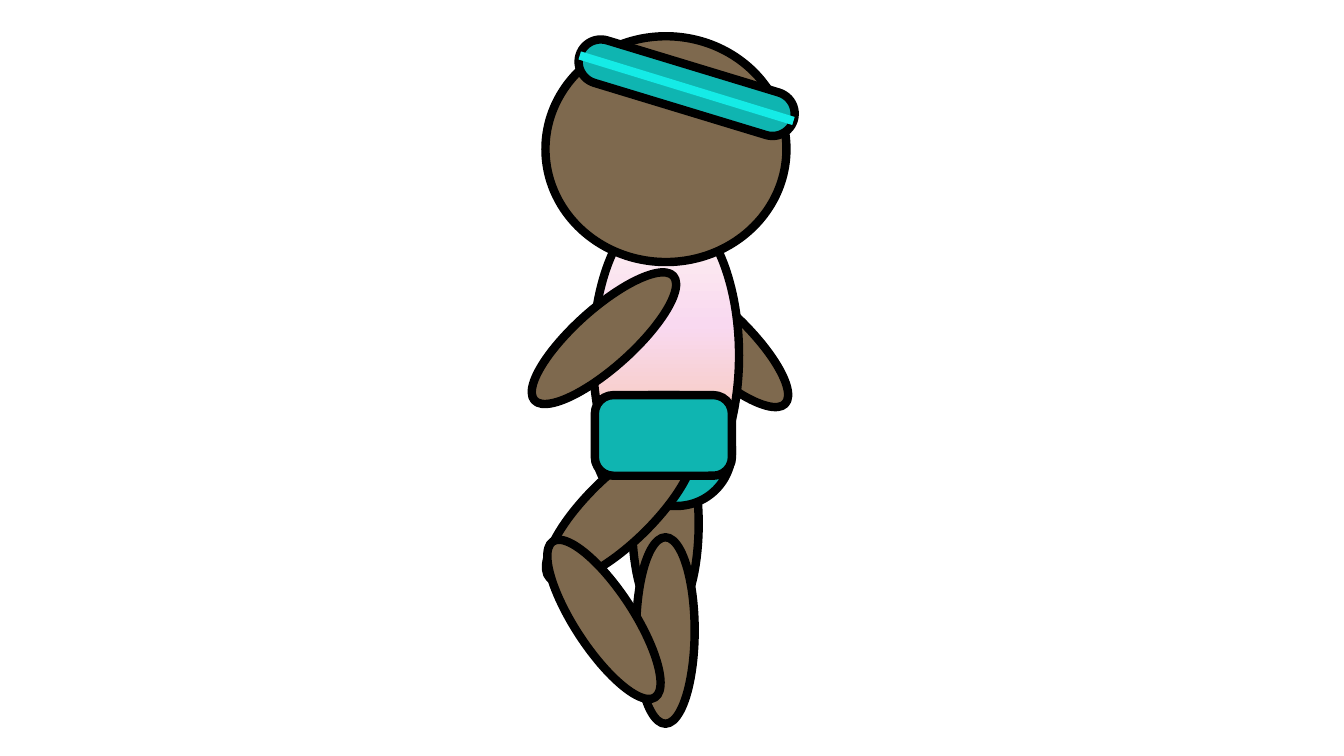
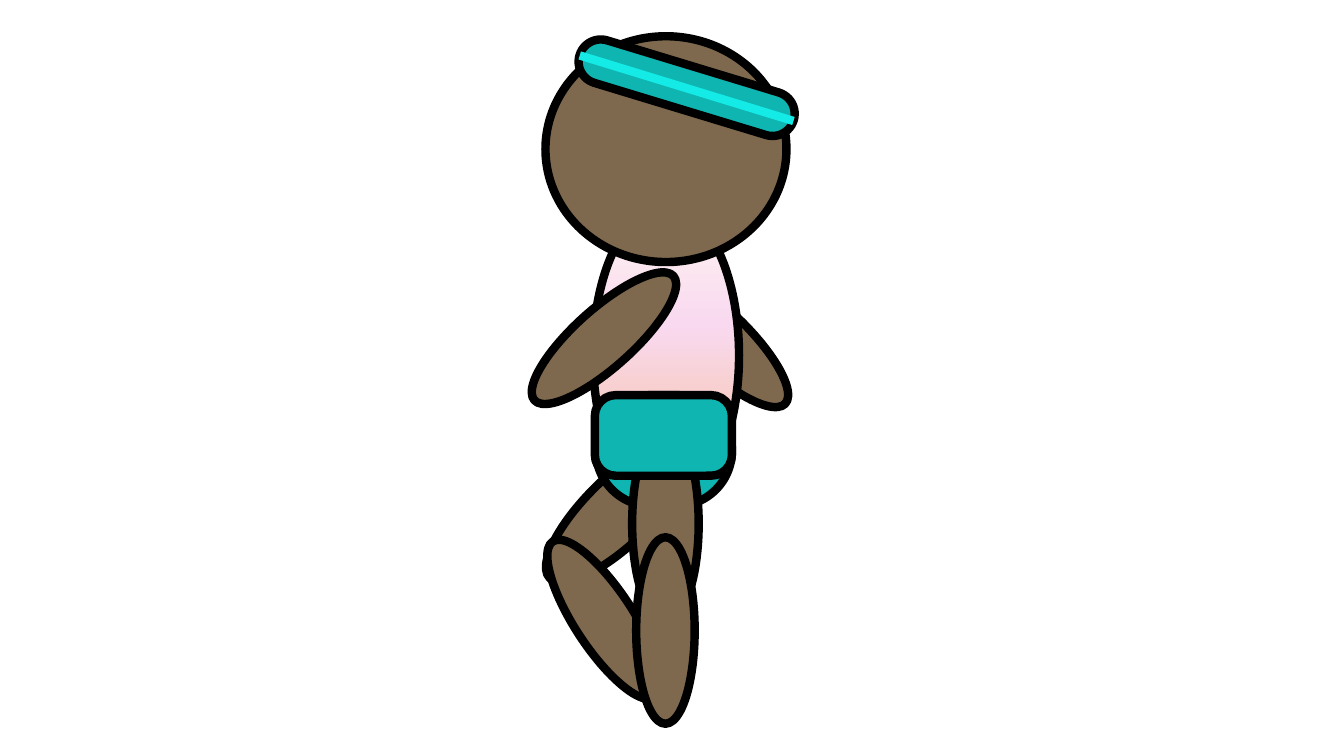
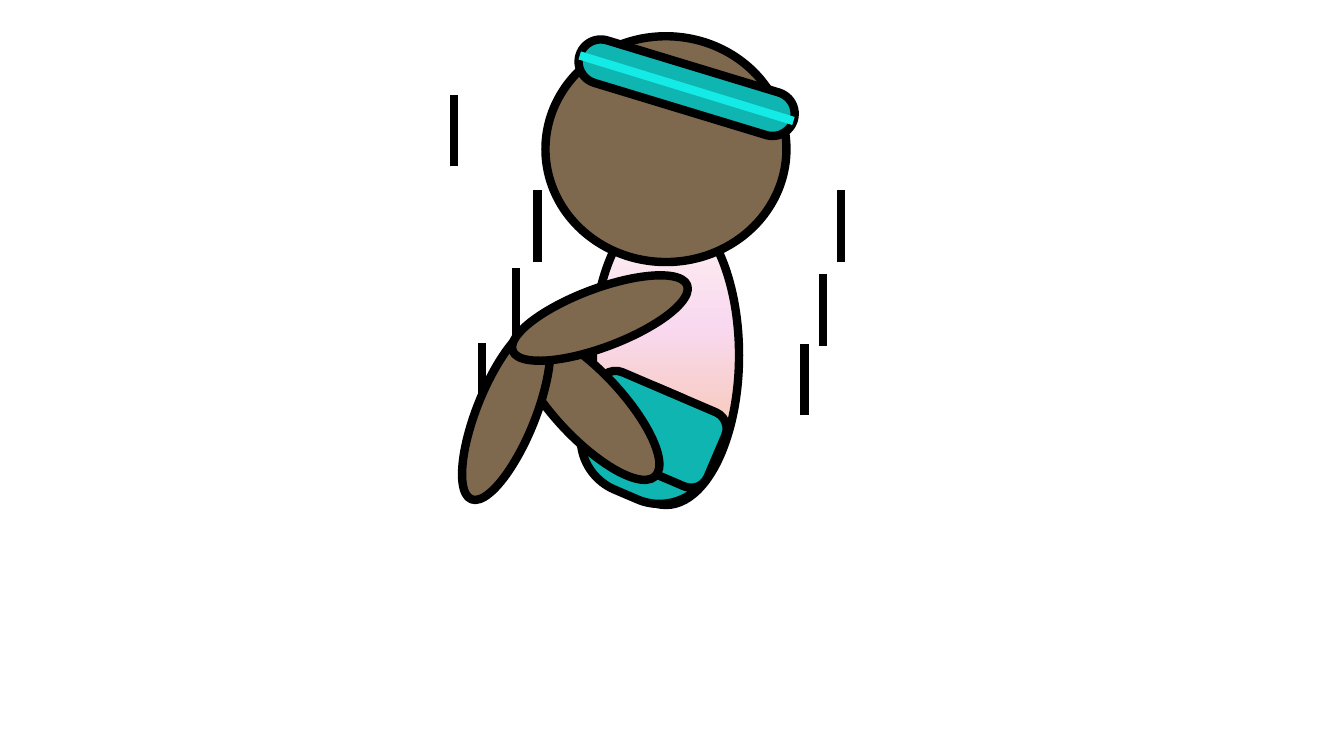
import lxml.etree
import pptx
import pptx.dml.color
import pptx.enum.shapes
import pptx.oxml.ns
import pptx.util

Inches = pptx.util.Inches
RGBColor = pptx.dml.color.RGBColor
qn = pptx.oxml.ns.qn

# Shared colours and outline
BLACK = RGBColor(0x00, 0x00, 0x00)
SKIN = RGBColor(0x7E, 0x69, 0x4E)
TEAL = RGBColor(0x0F, 0xB5, 0xB1)
AQUA = RGBColor(0x15, 0xEB, 0xE6)
CREAM = RGBColor(0xFE, 0xF5, 0xF0)
PINK = RGBColor(0xF9, 0xD9, 0xF0)
PEACH = RGBColor(0xF6, 0xC6, 0xAD)
SHIRT_STOPS = [(0, CREAM), (40, PINK), (83, PEACH), (100, PEACH)]
OUTLINE = pptx.util.Pt(6)

OVAL = pptx.enum.shapes.MSO_SHAPE.OVAL
ROUNDED = pptx.enum.shapes.MSO_SHAPE.ROUNDED_RECTANGLE
STRAIGHT = pptx.enum.shapes.MSO_CONNECTOR.STRAIGHT

# Sizes of the limbs and the shorts
THIGH = (0.66, 1.95)
LIMB = (0.58, 1.85)
SEAT = (1.35, 1.1)
SHORTS = (1.36, 0.8)

# Body parts: left, top, size, rotation, fill, corner radius (None for an oval)
PARTS = {
    "head": (5.41, 0.36, (2.39, 2.24), 0, SKIN, None),
    "headband": (5.7, 0.65, (2.22, 0.44), 16.9, TEAL, 0.5),
    "shirt": (5.88, 2.04, (1.45, 2.97), 0, SHIRT_STOPS, None),
    "far arm": (6.83, 2.44, LIMB, 313.8, SKIN, None),
    "near arm": (5.7, 2.43, LIMB, 48.2, SKIN, None),
    "seat": (5.91, 3.92, SEAT, 0, TEAL, 0.5),
    "shorts": (5.9, 3.92, SHORTS, 0, TEAL, 0.23),
    "rounder shorts": (5.9, 3.92, SHORTS, 0, TEAL, 0.26),
    "straight thigh": (6.27, 4.22, THIGH, 0, SKIN, None),
    "straight shin": (6.31, 5.33, LIMB, 0, SKIN, None),
    "raised thigh": (5.82, 4.08, THIGH, 45.7, SKIN, None),
    "raised shin": (5.7, 5.22, LIMB, 326.8, SKIN, None),
    "tucked seat": (5.75, 3.85, SEAT, 23.2, TEAL, 0.5),
    "tucked shorts": (5.8, 3.86, SHORTS, 23.2, TEAL, 0.22),
    "tucked thigh": (5.5, 3.04, THIGH, 136.8, SKIN, None),
    "tucked shin": (4.73, 3.17, LIMB, 21.9, SKIN, None),
    "reaching arm": (5.66, 2.23, LIMB, 69.4, SKIN, None),
}

# Lines: start, end, colour
STRIPE = "headband stripe"
LINES = {STRIPE: ((5.75, 0.55), (7.87, 1.2), AQUA)}
MOTION_LENGTH = 0.71
MOTION_BACK = [(5.12, 2.66), (4.78, 3.4)]
MOTION_FRONT = [(4.5, 0.94), (5.33, 1.89), (7.98, 3.41), (8.16, 2.72), (8.34, 1.89)]
for x, y in MOTION_BACK + MOTION_FRONT:
    LINES[(x, y)] = ((x, y + MOTION_LENGTH), (x, y), BLACK)

# Poses, one per slide, from back to front
POSES = [
    ["straight thigh", "straight shin", "far arm", "shirt", "seat", "raised thigh",
     "shorts", "raised shin", "head", "near arm", "headband", STRIPE],
    ["raised thigh", "far arm", "shirt", "raised shin", "head", "near arm",
     "headband", STRIPE, "seat", "straight thigh", "rounder shorts", "straight shin"],
    [*MOTION_BACK, "shirt", "head", "headband", STRIPE, "tucked seat", "tucked shorts",
     "tucked thigh", "tucked shin", "reaching arm", *MOTION_FRONT],
]


def draw_part(slide, part):
    left, top, (width, height), rotation, fill, corner = PARTS[part]
    kind = OVAL if corner is None else ROUNDED
    shape = slide.shapes.add_shape(kind, Inches(left), Inches(top), Inches(width), Inches(height))
    shape.rotation = rotation
    shape.shadow.inherit = False
    shape.line.color.rgb = BLACK
    shape.line.width = OUTLINE
    if corner is not None:
        shape.adjustments[0] = corner
    if fill is not SHIRT_STOPS:
        shape.fill.solid()
        shape.fill.fore_color.rgb = fill
        return
    # A gradient with more than two stops needs XML
    shape.fill.gradient()
    shape.fill.gradient_angle = 270
    stop_list = shape._element.spPr.find(qn("a:gradFill")).find(qn("a:gsLst"))
    for stop in list(stop_list):
        stop_list.remove(stop)
    for percent, color in fill:
        stop = lxml.etree.SubElement(stop_list, qn("a:gs"), pos=str(percent * 1000))
        lxml.etree.SubElement(stop, qn("a:srgbClr"), val=str(color))


def draw_line(slide, key):
    start, end, color = LINES[key]
    points = [Inches(value) for value in start + end]
    connector = slide.shapes.add_connector(STRAIGHT, *points)
    connector.line.color.rgb = color
    connector.line.width = OUTLINE
    lxml.etree.SubElement(connector._element.spPr, qn("a:effectLst"))


# Build the slides
presentation = pptx.Presentation()
presentation.slide_width = Inches(13.33)
presentation.slide_height = Inches(7.5)
blank_layout = presentation.slide_layouts[6]

for pose in POSES:
    slide = presentation.slides.add_slide(blank_layout)
    for item in pose:
        if item in LINES:
            draw_line(slide, item)
        else:
            draw_part(slide, item)

presentation.save("out.pptx")
